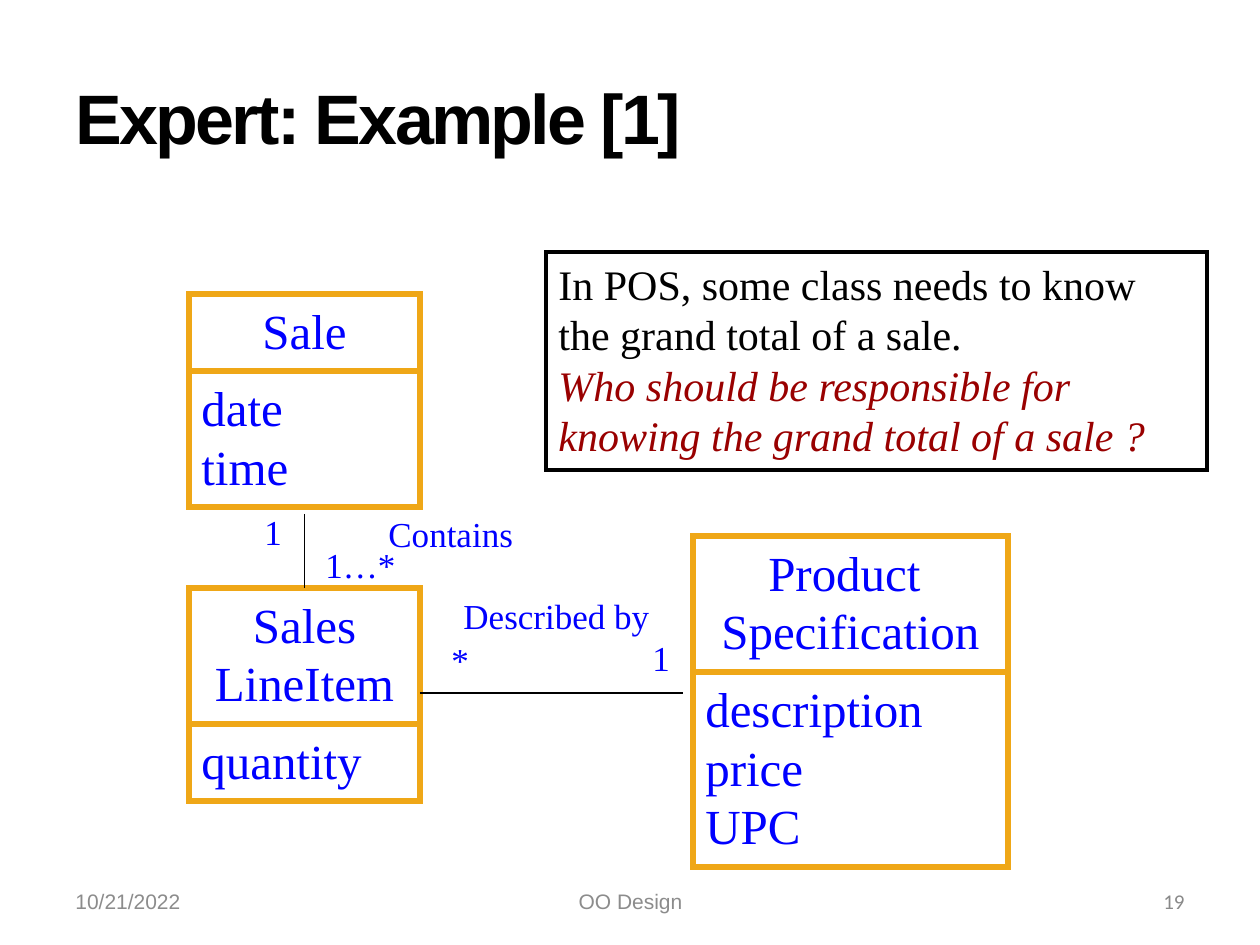
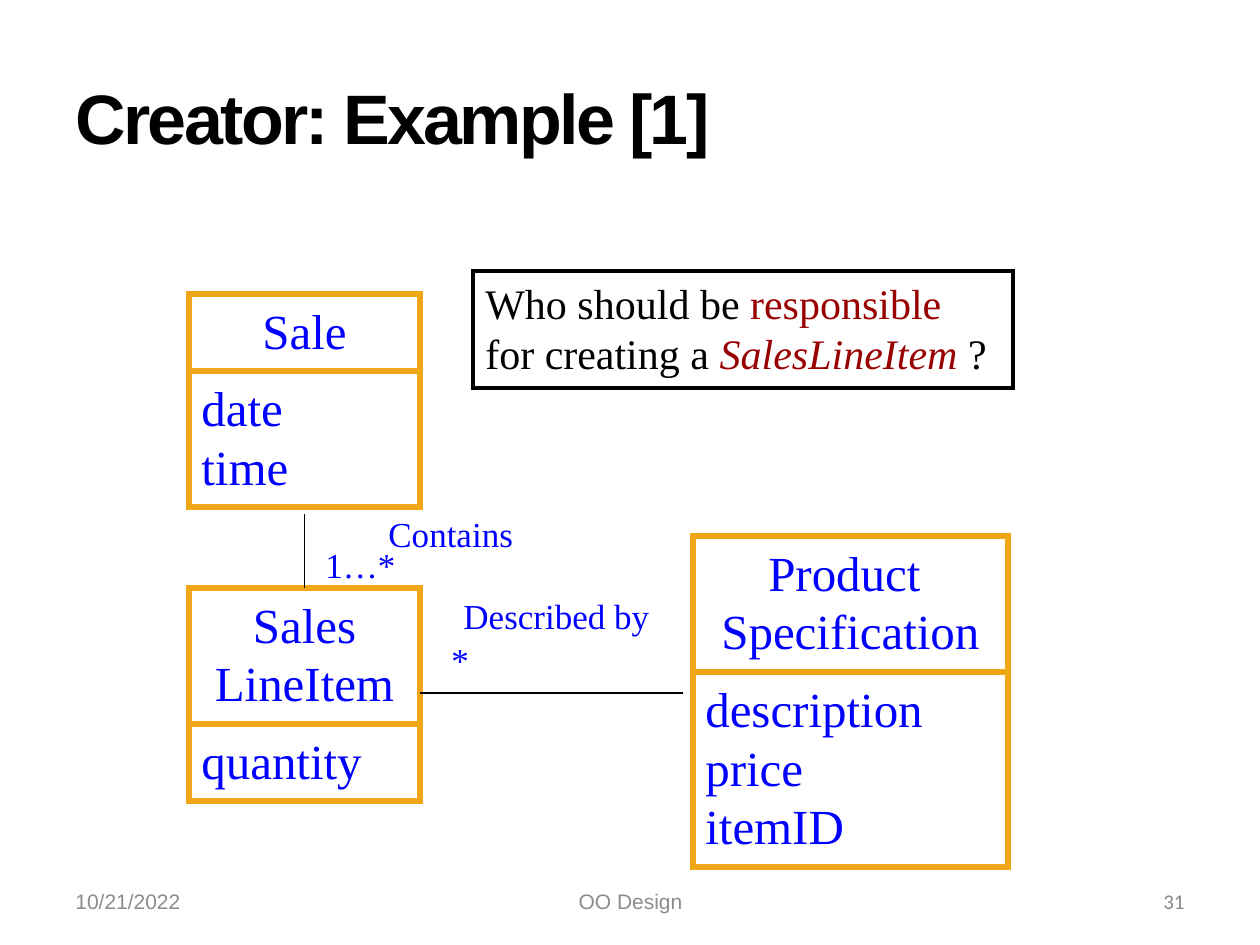
from lxml.etree import SubElement
from pptx import Presentation
from pptx.dml.color import RGBColor
from pptx.enum.shapes import MSO_CONNECTOR, MSO_SHAPE
from pptx.enum.text import MSO_ANCHOR, MSO_AUTO_SIZE, PP_ALIGN
from pptx.oxml.ns import qn
from pptx.util import Emu, Pt

SCALE = 914400 / 126
COLORS = {
    "black": "000000",
    "blue": "0000FF",
    "red": "990000",
    "orange": "EFA717",
    "footer": "8C8C8C",
    "number": "898989",
}
SERIF = "Times New Roman"
CLASS_PADDING = 18
CLASS_LINE_HEIGHT = 59


def to_emu(*pixels):
    return [Emu(round(pixel * SCALE)) for pixel in pixels]


def add_text(slide, box, paragraphs, size, font=SERIF, align=PP_ALIGN.LEFT,
             border=None, grow=True, wrap=True, bold=False, spacing=None):
    if border:
        shape = slide.shapes.add_shape(MSO_SHAPE.RECTANGLE, *to_emu(*box))
        shape.shadow.inherit = False
        shape.fill.background()
        shape.line.color.rgb = RGBColor.from_string(COLORS[border[0]])
        shape.line.width = Pt(border[1])
        SubElement(shape.line._get_or_add_ln(), qn("a:miter"), lim="800000")
    else:
        shape = slide.shapes.add_textbox(*to_emu(*box))
    frame = shape.text_frame
    frame.word_wrap = wrap
    frame.auto_size = MSO_AUTO_SIZE.SHAPE_TO_FIT_TEXT if grow else MSO_AUTO_SIZE.NONE
    frame.vertical_anchor = MSO_ANCHOR.TOP if grow else MSO_ANCHOR.MIDDLE
    for index, runs in enumerate(paragraphs):
        paragraph = frame.add_paragraph() if index else frame.paragraphs[0]
        paragraph.alignment = align
        for text, color, italic in runs:
            run = paragraph.add_run()
            run.text = text
            run.font.name = font
            run.font.size = Pt(size)
            run.font.bold = bold
            run.font.italic = italic
            run.font.color.rgb = RGBColor.from_string(COLORS[color])
            if spacing:
                run._r.get_or_add_rPr().set("spc", str(spacing))
    return shape


common_labels = [
    ("Contains", 376, 506, 152),
    ("1…*", 313, 537, 98),
    ("Described by", 451, 588, 220),
    ("*", 439, 632, 43),
]

slides = [
    {
        "title": "Expert: Example [1]",
        "number": "19",
        "product_key": "UPC",
        "extra_labels": [("1", 640, 630, 43), ("1", 252, 504, 43)],
        "question_box": (546, 252, 661, 218),
        "question_wrap": True,
        "question": [
            [("In POS, some class needs to know the grand total of a sale.", "black", False)],
            [("Who should be responsible for knowing the grand total of a sale ?", "red", True)],
        ],
    },
    {
        "title": "Creator: Example [1]",
        "number": "31",
        "product_key": "itemID",
        "extra_labels": [],
        "question_box": (473, 271, 540, 117),
        "question_wrap": False,
        "question": [
            [("Who should be ", "black", False), ("responsible", "red", False)],
            [("for creating a ", "black", False), ("SalesLineItem ", "red", True),
             ("?", "black", False)],
        ],
    },
]

presentation = Presentation()
presentation.slide_width, presentation.slide_height = to_emu(1260, 945)

for content in slides:
    slide = presentation.slides.add_slide(presentation.slide_layouts[6])

    footers = [
        ("10/21/2022", 63, 294, "Arial", "footer", PP_ALIGN.LEFT),
        ("OO Design", 431, 399, "Arial", "footer", PP_ALIGN.CENTER),
        (content["number"], 903, 294, "Calibri", "number", PP_ALIGN.RIGHT),
    ]
    for text, left, width, font, color, align in footers:
        add_text(slide, (left, 876, width, 50), [[(text, color, False)]], 12,
                 font=font, align=align, grow=False)

    add_text(slide, (63, 38, 1134, 158), [[(content["title"], "black", False)]], 40,
             font="Arial", grow=False, bold=True, spacing=-150)

    classes = [
        ("Sale", 189, 294, 231, ["Sale"], 1, ["date", "time"]),
        ("SalesLineItem", 189, 588, 231, ["Sales LineItem"], 2, ["quantity"]),
        ("ProductSpecification", 693, 536, 315, ["Product ", "Specification"], 2,
         ["description", "price", content["product_key"]]),
    ]
    headers = {}
    for name, left, top, width, heading, heading_lines, attributes in classes:
        compartments = [
            (heading, heading_lines, PP_ALIGN.CENTER),
            (attributes, len(attributes), PP_ALIGN.LEFT),
        ]
        for lines, line_count, align in compartments:
            height = CLASS_PADDING + CLASS_LINE_HEIGHT * line_count
            shape = add_text(slide, (left, top, width, height),
                             [[(line, "blue", False)] for line in lines], 28,
                             align=align, border=("orange", 3))
            headers.setdefault(name, shape)
            top += height

    associations = [
        ((304, 514, 304, 588), "SalesLineItem"),
        ((420, 693, 683, 693), None),
    ]
    for ends, target in associations:
        connector = slide.shapes.add_connector(MSO_CONNECTOR.STRAIGHT, *to_emu(*ends))
        connector.line.color.rgb = RGBColor.from_string(COLORS["black"])
        connector.line.width = Pt(1)
        SubElement(connector._element.spPr, qn("a:effectLst"))
        if target:
            connector.end_connect(headers[target], 0)
            connector.begin_x = connector.end_x

    for text, left, top, width in common_labels + content["extra_labels"]:
        add_text(slide, (left, top, width, 55), [[(text, "blue", False)]], 20, wrap=False)

    add_text(slide, content["question_box"], content["question"], 24,
             border=("black", 2.25), wrap=content["question_wrap"])

presentation.save("out.pptx")
